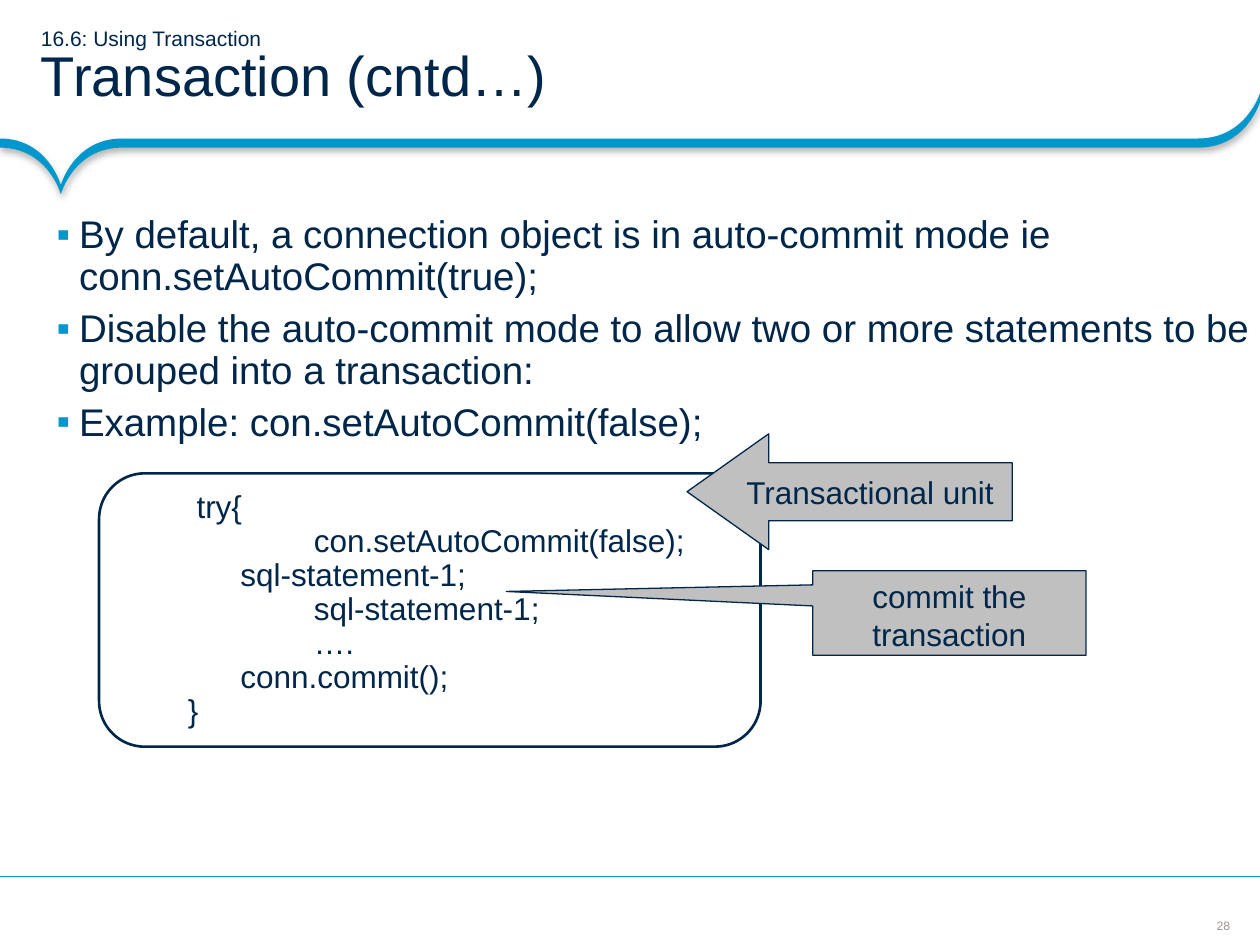
"""Build the slide on grouping SQL statements into a transaction."""
from dataclasses import dataclass

from lxml.etree import SubElement
from pptx import Presentation
from pptx.dml.color import RGBColor
from pptx.enum.shapes import MSO_CONNECTOR, MSO_SHAPE
from pptx.enum.text import MSO_ANCHOR, PP_ALIGN
from pptx.oxml.ns import qn
from pptx.util import Pt


@dataclass(frozen=True)
class Theme:
    font: str = "Arial"
    ink: str = "00264A"
    accent: str = "0098CC"
    callout: str = "C0C0C0"
    muted: str = "9F958F"
    title: int = 32
    section: int = 12
    body: int = 22
    code: int = 18
    number: int = 7


class SlideWriter:
    def __init__(self, slide, theme):
        self.shapes = slide.shapes
        self.theme = theme

    def paint(self, shape, fill=None, line=None, width=0.75):
        if fill:
            shape.fill.solid()
            shape.fill.fore_color.rgb = RGBColor.from_string(fill)
        else:
            shape.fill.background()
        if line:
            shape.line.color.rgb = RGBColor.from_string(line)
            shape.line.width = Pt(width)
        else:
            shape.line.fill.background()
        shape.shadow.inherit = False

    def frame(self, shape, anchor, insets=(7.2, 3.6, 7.2, 3.6), wrap=True):
        frame = shape.text_frame
        frame.word_wrap = wrap
        frame.vertical_anchor = anchor
        (frame.margin_left, frame.margin_top,
         frame.margin_right, frame.margin_bottom) = map(Pt, insets)
        return frame

    def paragraph(self, frame, text, size, color=None, align=PP_ALIGN.LEFT,
                  spacing=1.0, after=0, margin=0, bullet=None):
        first = frame.paragraphs[0]
        paragraph = frame.add_paragraph() if first.runs else first
        paragraph.alignment = align
        paragraph.line_spacing = spacing
        paragraph.space_after = Pt(after)
        properties = paragraph._p.get_or_add_pPr()
        properties.set("marL", str(Pt(margin)))
        properties.set("indent", str(-Pt(margin) if bullet else 0))
        if bullet:
            tint = SubElement(properties, qn("a:buClr"))
            SubElement(tint, qn("a:srgbClr"), val=self.theme.accent)
            SubElement(properties, qn("a:buFont"), typeface=self.theme.font)
            SubElement(properties, qn("a:buChar"), char=bullet)
        run = paragraph.add_run()
        run.text = text
        run.font.name = self.theme.font
        run.font.size = Pt(size)
        run.font.color.rgb = RGBColor.from_string(color or self.theme.ink)

    def text_box(self, box, anchor, insets, wrap=True):
        return self.frame(self.shapes.add_textbox(*map(Pt, box)), anchor, insets, wrap)

    def shape(self, kind, box, adjustments, anchor=MSO_ANCHOR.MIDDLE,
              wrap=True, fill=None, width=0.75):
        shape = self.shapes.add_shape(kind, *map(Pt, box))
        for index, value in enumerate(adjustments):
            shape.adjustments[index] = value
        self.paint(shape, fill, self.theme.ink, width)
        return self.frame(shape, anchor, wrap=wrap)

    def ribbon(self, edge, bends, thickness):
        """Draw a band whose long sides follow edge, bent by pairs of handles."""
        def lowered(points):
            return [(x, y + thickness) for x, y in reversed(points)]

        outline = [(Pt(x), Pt(y)) for x, y in edge + lowered(edge)]
        builder = self.shapes.build_freeform(*outline[0], scale=1.0)
        builder.add_line_segments(outline[1:], close=True)
        ribbon = builder.convert_to_shape()
        self.paint(ribbon, fill=self.theme.accent)

        sides = bends + [()] + [lowered(bend) for bend in reversed(bends)]
        segments = list(ribbon._element.iter(qn("a:lnTo")))
        for segment, handles in zip(segments, sides):
            if handles:
                segment.tag = qn("a:cubicBezTo")
                for index, (x, y) in enumerate(handles):
                    handle = SubElement(segment, qn("a:pt"), x=str(Pt(x) - ribbon.left),
                                        y=str(Pt(y) - ribbon.top))
                    segment.insert(index, handle)

        effects = ribbon._element.spPr.find(qn("a:effectLst"))
        shadow = SubElement(effects, qn("a:outerShdw"), blurRad=str(Pt(4)),
                            dist=str(Pt(2)), dir="5400000", rotWithShape="0")
        black = SubElement(shadow, qn("a:srgbClr"), val="000000")
        SubElement(black, qn("a:alpha"), val="31000")

    def rule(self, start, end):
        rule = self.shapes.add_connector(MSO_CONNECTOR.STRAIGHT, *map(Pt, start + end))
        rule.line.color.rgb = RGBColor.from_string(self.theme.accent)
        rule.line.width = Pt(0.75)
        SubElement(rule._element.spPr, qn("a:effectLst"))


def main():
    deck = Presentation()
    deck.slide_width, deck.slide_height = Pt(720), Pt(540)
    theme = Theme()
    writer = SlideWriter(deck.slides.add_slide(deck.slide_layouts[6]), theme)

    page = writer.text_box((694.8, 524.6, 8.6, 8.6), MSO_ANCHOR.MIDDLE, (0, 0, 0, 0), wrap=False)
    writer.paragraph(page, "28", theme.number, theme.muted, PP_ALIGN.CENTER)

    level, tip, corner = 79.2, (34.8, 105.8), (720, 53.3)
    writer.ribbon(
        edge=[(0, level), tip, (69.8, level), (684.7, level), corner],
        bends=[[(27.4, level), tip], [tip, (42.2, level)], [], [(712.1, level), corner]],
        thickness=5.2)
    writer.rule((720, 501), (0, 501))

    heading = writer.text_box((0, 0, 720, 79.2), MSO_ANCHOR.MIDDLE, (23.4, 2.9, 13, 4))
    writer.paragraph(heading, "16.6: Using Transaction", theme.section, spacing=0.85)
    writer.paragraph(heading, "Transaction (cntd…)", theme.title, spacing=0.85)

    points = writer.text_box((23.8, 117.4, 696.2, 365.8), MSO_ANCHOR.TOP, (8.6, 5.8, 5.8, 5.8))
    for point in (
        "By default, a connection object is in auto-commit mode ie conn.setAutoCommit(true);",
        "Disable the auto-commit mode to allow two or more statements to be grouped into a transaction:",
        "Example: con.setAutoCommit(false);",
    ):
        writer.paragraph(points, point, theme.body, spacing=0.9, after=6, margin=12.8, bullet="▪")

    code = writer.shape(MSO_SHAPE.ROUNDED_RECTANGLE, (56.6, 270.5, 378, 156.2), [0.167], width=1.5)
    for margin, statement in (
        (41, "try{"),
        (108, "con.setAutoCommit(false);"),
        (66, "sql-statement-1;"),
        (108, "sql-statement-1;"),
        (108, "…."),
        (66, "conn.commit();"),
        (36, "}"),
    ):
        writer.paragraph(code, statement, theme.code, spacing=0.9, margin=margin)

    unit = writer.shape(MSO_SHAPE.LEFT_ARROW, (392.6, 247.9, 185.8, 66.2), [0.5, 0.705],
                        wrap=False, fill=theme.callout)
    commit = writer.shape(MSO_SHAPE.RECTANGULAR_CALLOUT, (464.4, 326.2, 156.2, 48.2),
                          [-1.621, -0.255], MSO_ANCHOR.TOP, fill=theme.callout)
    for label, text in ((unit, "Transactional unit"), (commit, "commit the transaction")):
        writer.paragraph(label, text, theme.code, align=PP_ALIGN.CENTER)

    deck.save("out.pptx")


if __name__ == "__main__":
    main()
